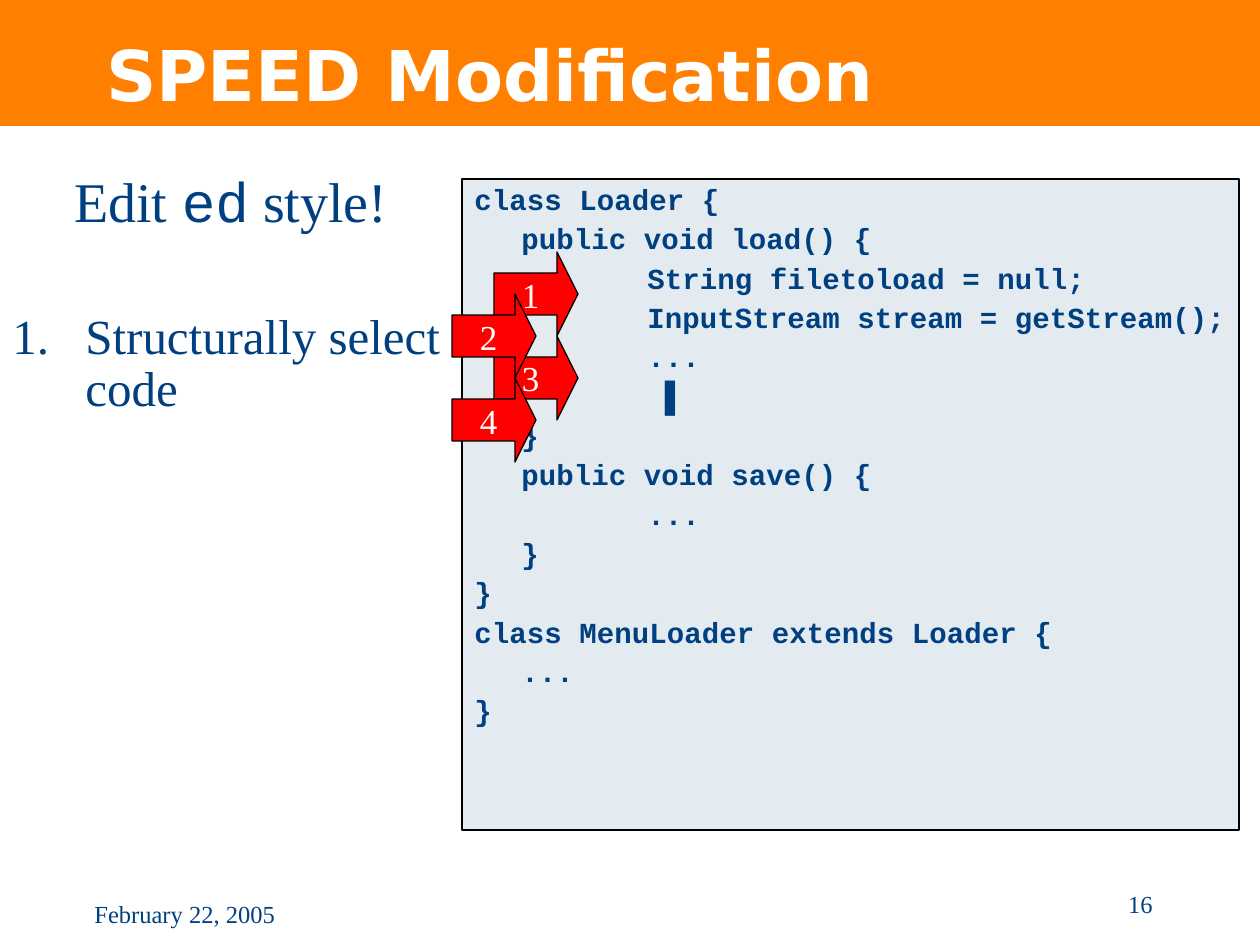
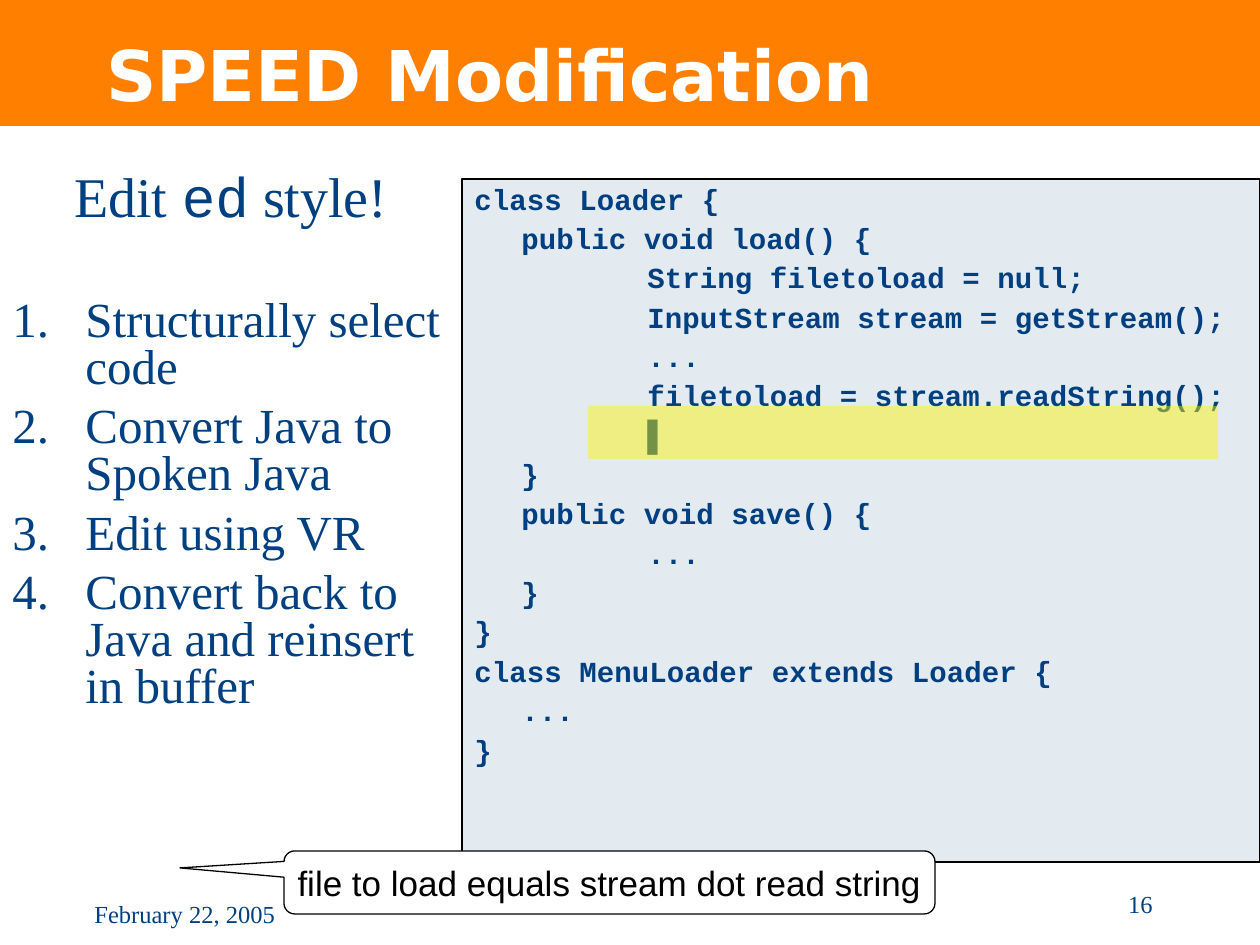
import dataclasses

import lxml.etree
import pptx
import pptx.dml.color
import pptx.enum.shapes
import pptx.enum.text
import pptx.oxml.ns
import pptx.util

PX = 914400 / 126
ALIGN = pptx.enum.text.PP_ALIGN
SHAPE = pptx.enum.shapes.MSO_SHAPE
MIDDLE = pptx.enum.text.MSO_ANCHOR.MIDDLE


@dataclasses.dataclass(frozen=True)
class Theme:
    orange: str = "FF8000"
    navy: str = "004080"
    white: str = "FFFFFF"
    black: str = "000000"
    red: str = "FF0000"
    panel: str = "E3EBF1"
    highlight: str = "FDF300"
    serif: str = "Times New Roman"
    sans: str = "Arial"
    mono: str = "Courier New"
    title_font: str = "DejaVu Sans"
    title_size: float = 40
    lead_size: float = 32
    step_size: float = 28
    label_size: float = 20
    code_size: float = 16.65
    footer_size: float = 14


THEME = Theme()
TAB_WIDTH = 126

CODE_TOP = [
    "class Loader {",
    "\tpublic void load() {",
    "\t\tString filetoload = null;",
    "\t\tInputStream stream = getStream();",
    "\t\t...",
]
CODE_REST = [
    "\t}",
    "\tpublic void save() {",
    "\t\t...",
    "\t}",
    "}",
    "class MenuLoader extends Loader {",
    "\t...",
    "}",
]
CURSOR = "▌"
STEPS = [
    "Structurally select code",
    "Convert Java to Spoken Java",
    "Edit using VR",
    "Convert back to Java and reinsert in buffer",
]


def px(length):
    return pptx.util.Emu(round(length * PX))


def rgb(value):
    return pptx.dml.color.RGBColor.from_string(value)


def add_child(parent, tag, **attributes):
    return lxml.etree.SubElement(parent, pptx.oxml.ns.qn(tag), attributes)


def set_font(paragraph, name, size, color, bold=False):
    font = paragraph.font
    font.name, font.size, font.bold = name, pptx.util.Pt(size), bold
    font.color.rgb = rgb(color)


def set_hanging_indent(paragraph, indent):
    properties = paragraph._p.get_or_add_pPr()
    properties.set("marL", str(px(indent)))
    properties.set("indent", str(-px(indent)))
    return properties


def set_tabs(properties):
    properties.set("defTabSz", str(px(TAB_WIDTH)))
    tabs = add_child(properties, "a:tabLst")
    for index in range(8):
        add_child(tabs, "a:tab", pos=str(px(TAB_WIDTH * index)), algn="l")


def add_spans(paragraph, spans):
    """Add (text, font name) spans; None keeps the font of the paragraph."""
    for text, name in spans:
        span = paragraph.add_run()
        span.text = text
        if name:
            span.font.name = name


def add_text(page, area, text, name, size, color, bold=False, align=ALIGN.LEFT):
    box = page.shapes.add_textbox(*map(px, area))
    box.text_frame.word_wrap = True
    paragraph = box.text_frame.paragraphs[0]
    paragraph.text, paragraph.alignment = text, align
    set_font(paragraph, name, size, color, bold)
    return box


def add_block(page, kind, area, fill, outlined=True):
    block = page.shapes.add_shape(kind, *map(px, area))
    block.shadow.inherit = False
    block.fill.solid()
    block.fill.fore_color.rgb = rgb(fill)
    if outlined:
        block.line.color.rgb = rgb(THEME.black)
        block.line.width = pptx.util.Pt(0.75)
    else:
        block.line.fill.background()
    return block


def add_label(block, text, name, color):
    frame = block.text_frame
    frame.word_wrap, frame.vertical_anchor = False, MIDDLE
    paragraph = frame.paragraphs[0]
    paragraph.text, paragraph.alignment = text, ALIGN.CENTER
    set_font(paragraph, name, THEME.label_size, color)


def add_page(deck, title):
    """Add a page with the title band, the date and the page number."""
    page = deck.slides.add_slide(deck.slide_layouts[6])
    add_block(page, SHAPE.RECTANGLE, (0, 0, 1260, 126), THEME.orange, outlined=False)
    footer_style = (THEME.serif, THEME.footer_size, THEME.navy)
    add_text(page, (82, 893, 230, 43), "February 22, 2005", *footer_style)
    heading = add_text(page, (94, 11, 1071, 126), title, THEME.title_font,
                       THEME.title_size, THEME.white, bold=True)
    heading.text_frame.vertical_anchor = MIDDLE
    add_text(page, (903, 883, 262, 62), "16", *footer_style, align=ALIGN.RIGHT)
    return page


def add_steps(page, height, steps, spacing):
    box = page.shapes.add_textbox(px(0), px(168), px(462), px(height))
    frame = box.text_frame
    frame.word_wrap = True
    lead = frame.paragraphs[0]
    lead.alignment, lead.line_spacing = ALIGN.CENTER, spacing
    set_font(lead, THEME.serif, THEME.lead_size, THEME.navy)
    add_spans(lead, [("Edit ", None), ("ed", THEME.mono), (" style!", None)])
    for index, step in enumerate(steps):
        paragraph = frame.add_paragraph()
        paragraph.text, paragraph.line_spacing = step, spacing
        gap = 7 if index else round(15 + THEME.lead_size * spacing)
        paragraph.space_before = pptx.util.Pt(gap)
        properties = set_hanging_indent(paragraph, 73)
        color = add_child(properties, "a:buClr")
        add_child(color, "a:srgbClr", val=THEME.navy)
        add_child(properties, "a:buAutoNum", type="arabicPeriod")
        set_font(paragraph, THEME.serif, THEME.step_size, THEME.navy)


def add_code(page, width, height, edited_lines):
    """Show the program; each edited line is a list of spans."""
    panel = add_block(page, SHAPE.RECTANGLE, (462, 179, width, height), THEME.panel)
    frame = panel.text_frame
    frame.word_wrap, frame.vertical_anchor = True, pptx.enum.text.MSO_ANCHOR.TOP
    top, rest = [[[(line, None)] for line in lines] for lines in (CODE_TOP, CODE_REST)]
    for index, spans in enumerate(top + edited_lines + rest):
        paragraph = frame.add_paragraph() if index else frame.paragraphs[0]
        paragraph.alignment, paragraph.line_spacing = ALIGN.LEFT, 0.9
        if index:
            paragraph.space_before = pptx.util.Pt(4.5)
        set_tabs(set_hanging_indent(paragraph, 47))
        set_font(paragraph, THEME.mono, THEME.code_size, THEME.navy, bold=True)
        add_spans(paragraph, spans)


def add_step_arrows(page):
    """Stagger the arrows, with the even ones in front and to the left."""
    for number in (1, 3, 2, 4):
        left = 494 if number % 2 else 452
        arrow = add_block(page, SHAPE.RIGHT_ARROW, (left, 210 + 42 * number, 84, 84), THEME.red)
        arrow.adjustments[0], arrow.adjustments[1] = 0.5, 0.25
        add_label(arrow, str(number), THEME.serif, THEME.white)


def add_highlight(page):
    marker = add_block(page, SHAPE.RECTANGLE, (588, 406, 630, 53), THEME.highlight, outlined=False)
    color = marker._element.spPr.find(".//" + pptx.oxml.ns.qn("a:srgbClr"))
    add_child(color, "a:alpha", val="46000")


def add_speech(page, text):
    speech = add_block(page, SHAPE.ROUNDED_RECTANGULAR_CALLOUT, (284, 851, 651, 63), THEME.white)
    for index, value in enumerate((-0.66, -0.23, 0.17)):
        speech.adjustments[index] = value
    add_label(speech, text, THEME.sans, THEME.black)


def main():
    deck = pptx.Presentation()
    deck.slide_width, deck.slide_height = px(1260), px(945)

    selecting = add_page(deck, "SPEED Modification")
    add_steps(selecting, 262, STEPS[:1], 0.9)
    add_code(selecting, 777, 651, [[("\t\t ", None), (CURSOR, THEME.sans)]])
    add_step_arrows(selecting)

    inserting = add_page(deck, "SPEED Modification")
    add_steps(inserting, 609, STEPS, 0.8)
    add_code(inserting, 798, 683, [
        [("\t\tfiletoload = stream.readString();", None)],
        [("\t\t", None), (CURSOR, THEME.sans)],
    ])
    add_highlight(inserting)
    add_speech(inserting, "file to load equals stream dot read string")

    deck.save("out.pptx")


if __name__ == "__main__":
    main()
